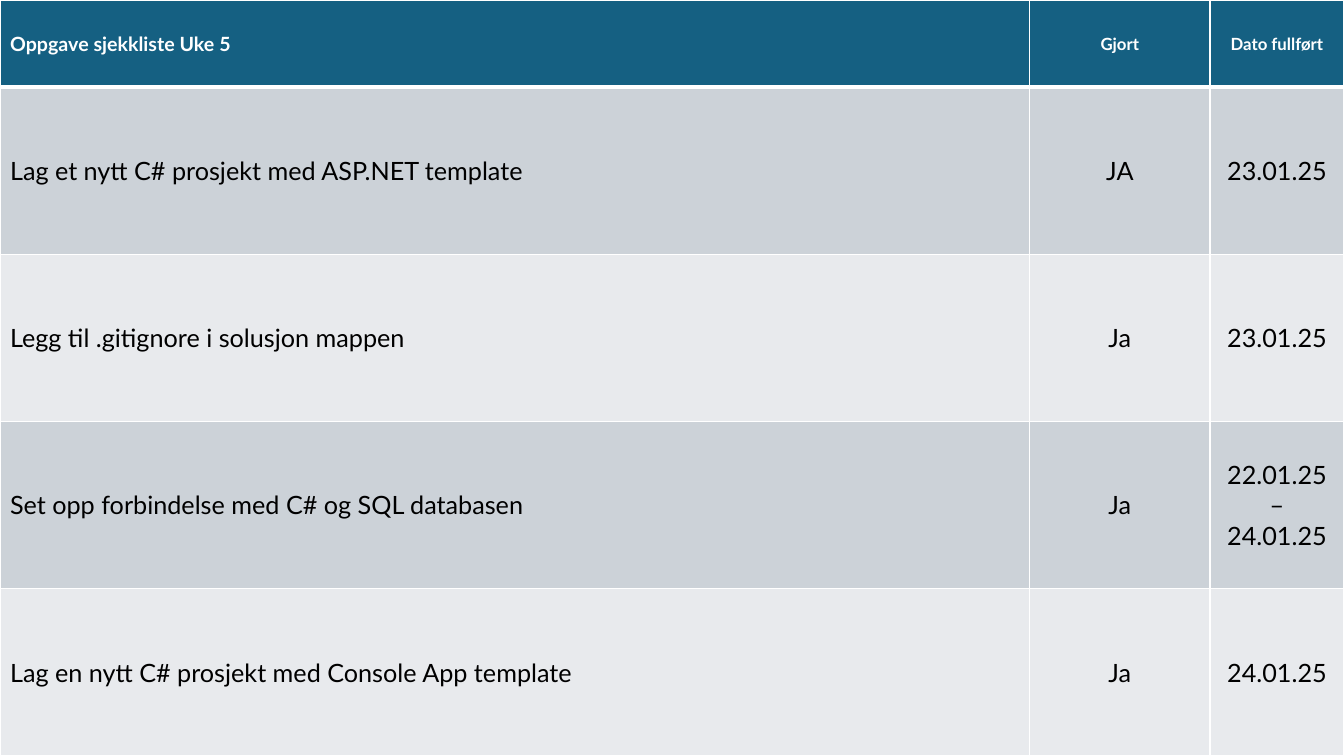
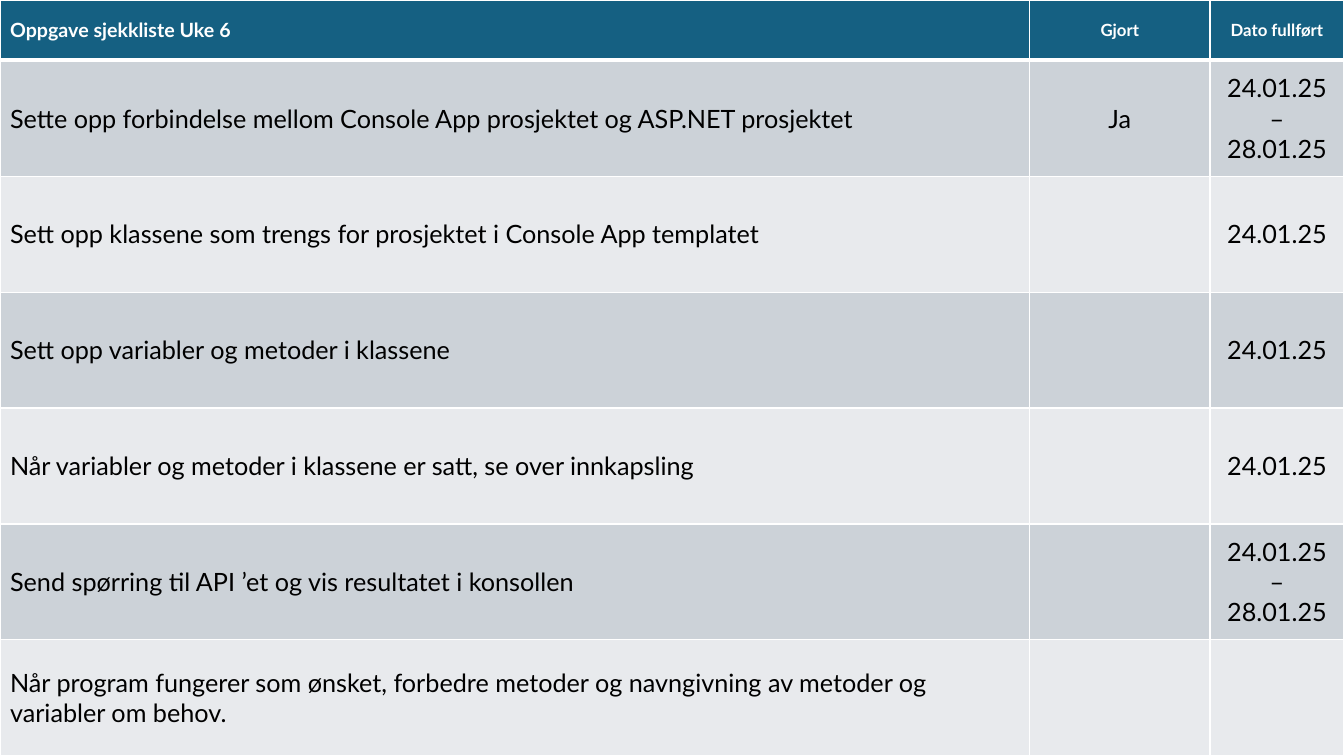
from lxml import etree
from pptx import Presentation
from pptx import util as u
from pptx.dml.color import RGBColor
from pptx.enum import text
from pptx.oxml import ns

WHITE = RGBColor(0xFF, 0xFF, 0xFF)
BLACK = RGBColor(0x00, 0x00, 0x00)
HEADER_BLUE = RGBColor(0x15, 0x60, 0x82)
BANDS = (RGBColor(0xE8, 0xEA, 0xED), RGBColor(0xCC, 0xD2, 0xD8))

FONT = "Lato"
SLIDE_WIDTH, SLIDE_HEIGHT = u.Inches(13.33), u.Inches(7.5)
COLUMN_WEIGHTS = (10.22, 1.79, 1.33)
HEADER_WEIGHT = 0.52
THIN, THICK = 1, 3

WEEK_5 = (
    ("Lag et nytt C# prosjekt med ASP.NET template", "JA", "23.01.25"),
    ("Legg til .gitignore i solusjon mappen", "Ja", "23.01.25"),
    ("Set opp forbindelse med C# og SQL databasen", "Ja", "22.01.25 – 24.01.25"),
    ("Lag en nytt C# prosjekt med Console App template", "Ja", "24.01.25"),
)
WEEK_6 = (
    ("Sette opp forbindelse mellom Console App prosjektet og ASP.NET prosjektet",
     "Ja", "24.01.25 – 28.01.25"),
    ("Sett opp klassene som trengs for prosjektet i Console App templatet",
     "", "24.01.25"),
    ("Sett opp variabler og metoder i klassene", "", "24.01.25"),
    ("Når variabler og metoder i klassene er satt, se over innkapsling",
     "", "24.01.25"),
    ("Send spørring til API ’et og vis resultatet i konsollen",
     "", "24.01.25 – 28.01.25"),
    ("Når program fungerer som ønsket, forbedre metoder og navngivning av "
     "metoder og variabler om behov.", "", ""),
)


def share_out(tracks, attribute, total, weights):
    """Divide a total length among table columns or rows by weight."""
    for track, weight in zip(tracks, weights):
        setattr(track, attribute, int(total * weight / sum(weights)))


def set_borders(cell, top, bottom):
    """Draw white borders round a cell, with widths in points."""
    properties = cell._tc.get_or_add_tcPr()
    for side, width in (("L", THIN), ("R", THIN), ("T", top), ("B", bottom)):
        line = etree.SubElement(properties, ns.qn(f"a:ln{side}"), w=str(u.Pt(width)))
        fill = etree.SubElement(line, ns.qn("a:solidFill"))
        etree.SubElement(fill, ns.qn("a:srgbClr"), val=str(WHITE))


def fill_cell(cell, content, row, column):
    """Write and format one cell according to its row and column."""
    is_header = row == 0
    set_borders(cell, THICK if row == 1 else THIN, THICK if is_header else THIN)
    cell.fill.solid()
    cell.fill.fore_color.rgb = HEADER_BLUE if is_header else BANDS[row % 2]
    cell.vertical_anchor = text.MSO_ANCHOR.MIDDLE
    cell.text = content
    paragraph = cell.text_frame.paragraphs[0]
    paragraph.alignment = text.PP_ALIGN.CENTER if column else text.PP_ALIGN.LEFT
    font = paragraph.font
    font.name = FONT
    font.bold = is_header
    font.color.rgb = WHITE if is_header else BLACK
    font.size = u.Pt((12 if column else 14) if is_header else 18)


def add_checklist(presentation, week, tasks):
    """Add a slide filled by the checklist table of one week."""
    slide = presentation.slides.add_slide(presentation.slide_layouts[6])
    rows = ((f"Oppgave sjekkliste Uke {week}", "Gjort", "Dato fullført"), *tasks)
    table = slide.shapes.add_table(
        len(rows), len(COLUMN_WEIGHTS), 0, 0, SLIDE_WIDTH, SLIDE_HEIGHT).table
    share_out(table.columns, "width", SLIDE_WIDTH, COLUMN_WEIGHTS)
    share_out(table.rows, "height", SLIDE_HEIGHT, (HEADER_WEIGHT, *[1] * len(tasks)))
    for row, contents in enumerate(rows):
        for column, content in enumerate(contents):
            fill_cell(table.cell(row, column), content, row, column)


def main():
    """Build and save the weekly checklists."""
    presentation = Presentation()
    presentation.slide_width = SLIDE_WIDTH
    presentation.slide_height = SLIDE_HEIGHT
    add_checklist(presentation, 5, WEEK_5)
    add_checklist(presentation, 6, WEEK_6)
    presentation.save("out.pptx")


if __name__ == "__main__":
    main()
